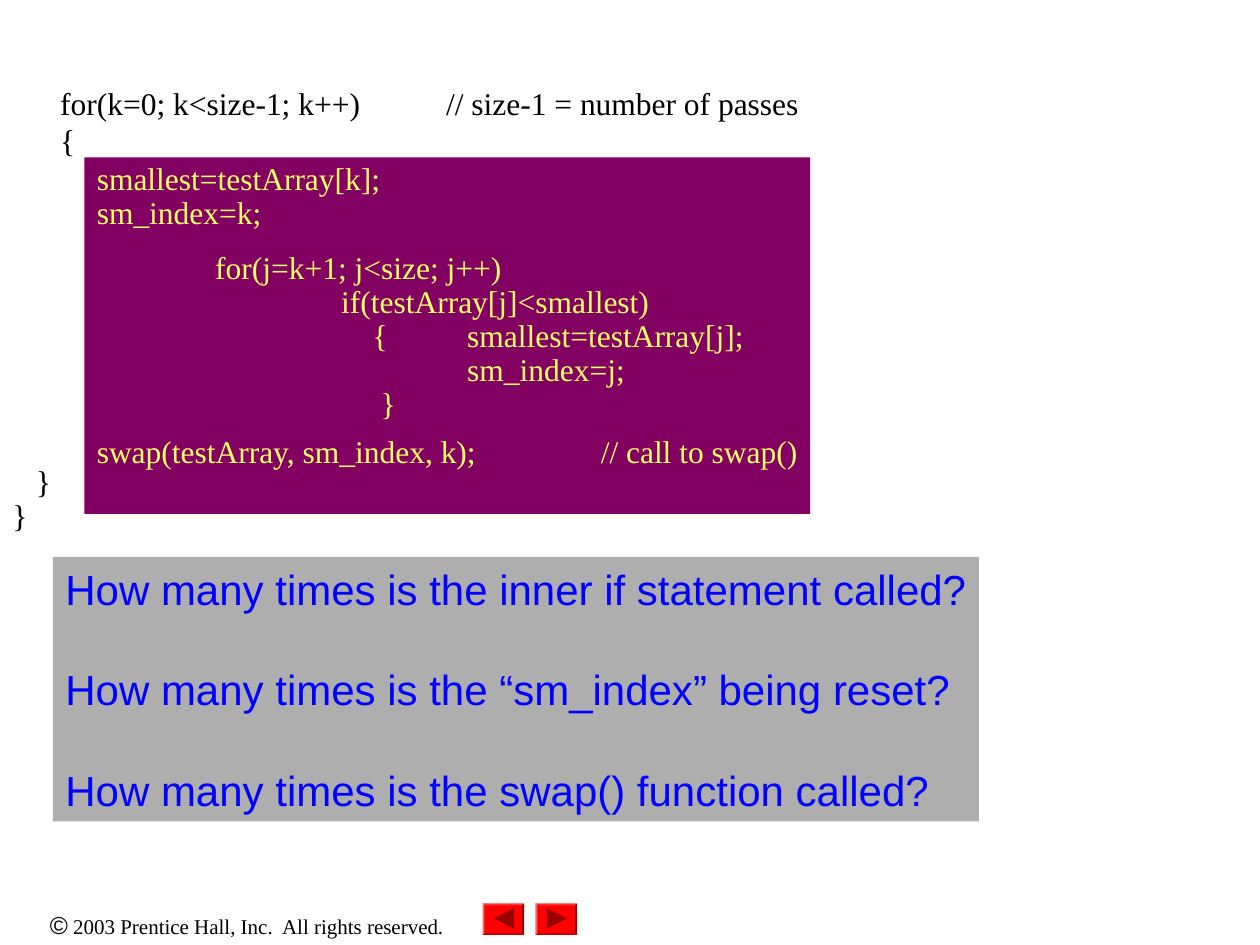
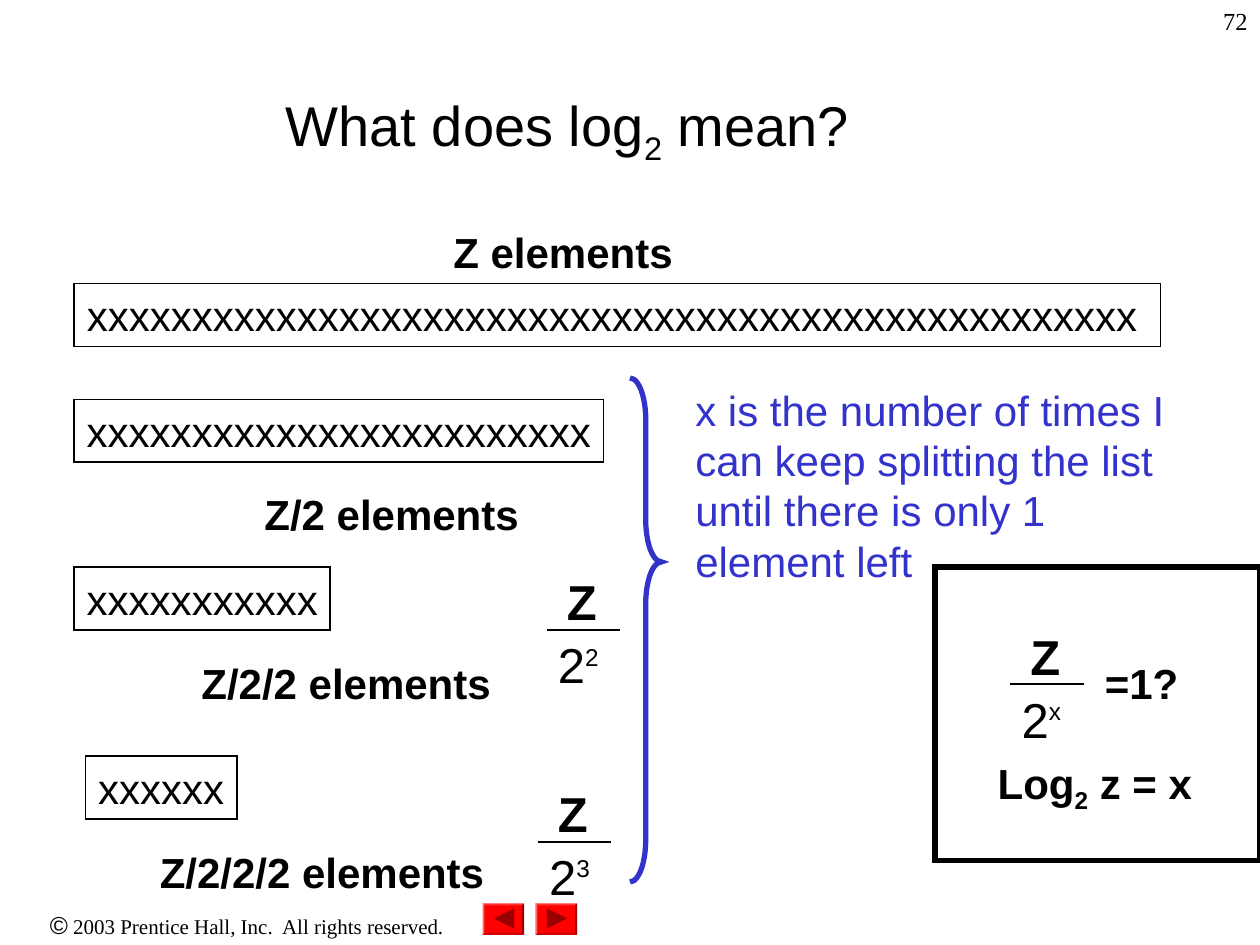
from lxml import etree
from pptx import Presentation
from pptx.dml.color import RGBColor
from pptx.enum.shapes import MSO_CONNECTOR, MSO_SHAPE
from pptx.enum.text import MSO_ANCHOR, MSO_AUTO_SIZE, PP_ALIGN
from pptx.oxml.ns import qn
from pptx.util import Inches, Pt

# Shared style
SANS, SERIF = "Arial", "Times New Roman"
BLACK, RED, MAROON, BLUE = "000000", "FF0000", "990000", "0000FF"
INDIGO, PLUM, YELLOW, GREY = "3333CC", "820062", "FFFF66", "5F5F5F"
RECT, BRACE = MSO_SHAPE.RECTANGLE, MSO_SHAPE.RIGHT_BRACE
BEVEL, ARROW = MSO_SHAPE.BEVEL, MSO_SHAPE.ISOSCELES_TRIANGLE
LEFT, CENTER, RIGHT = PP_ALIGN.LEFT, PP_ALIGN.CENTER, PP_ALIGN.RIGHT
STRAIGHT, TOP = MSO_CONNECTOR.STRAIGHT, MSO_ANCHOR.TOP
FIT = MSO_AUTO_SIZE.SHAPE_TO_FIT_TEXT
CODE_GAP = 19.44  # height of one code line in points


def color(code):
    return RGBColor.from_string(code)


def shape(slide, kind, at, fill=None, line=None, width=1):
    item = slide.shapes.add_shape(kind, *map(Inches, at))
    item.shadow.inherit = False
    if fill:
        item.fill.solid()
        item.fill.fore_color.rgb = color(fill)
    else:
        item.fill.background()
    if line:
        item.line.color.rgb = color(line)
        item.line.width = Pt(width)
        # Sharp corners
        edge = item._element.spPr.find(qn("a:ln"))
        etree.SubElement(edge, qn("a:miter"), lim="800000")
    else:
        item.line.fill.background()
    return item


def rule(slide, x, y, length):
    line = slide.shapes.add_connector(
        STRAIGHT, Inches(x), Inches(y), Inches(x + length), Inches(y))
    line.line.color.rgb = color(BLACK)
    line.line.width = Pt(1)
    etree.SubElement(line._element.spPr, qn("a:effectLst"))


def add_run(para, text, size, font=SANS, ink=BLACK, bold=False, base=0):
    run = para.add_run()
    run.text = text
    run.font.size = Pt(size)
    run.font.name = font
    run.font.bold = bold
    run.font.color.rgb = color(ink)
    if base:
        run.font._element.set("baseline", str(base * 1000))


def set_tabs(para):
    tabs = etree.SubElement(para._p.get_or_add_pPr(), qn("a:tabLst"))
    for inch in range(1, 8):
        etree.SubElement(tabs, qn("a:tab"), pos=str(Inches(inch)), algn="l")


def text(slide, at, runs, align=LEFT, wrap=False):
    """One paragraph; each run is a tuple of add_run arguments."""
    frame = slide.shapes.add_textbox(*map(Inches, at)).text_frame
    frame.word_wrap = wrap
    if not wrap:
        frame.auto_size = FIT
        frame.margin_right = 0  # spare room keeps the text on one line
    para = frame.paragraphs[0]
    para.alignment = align
    for run in runs:
        add_run(para, *run)


def lines(item, rows, size, font, ink, spacing=1.0):
    """Fill a shape with (text, space before) rows."""
    frame = item.text_frame
    frame.word_wrap = False
    frame.vertical_anchor = TOP
    for i, (words, gap) in enumerate(rows):
        para = frame.add_paragraph() if i else frame.paragraphs[0]
        set_tabs(para)
        para.alignment = LEFT
        para.line_spacing = spacing
        if gap:
            para.space_before = Pt(gap)
        add_run(para, words, size, font, ink)


def code(item, rows, ink):
    lines(item, rows, 18, SERIF, ink, 0.9)


def footer(slide):
    text(slide, (0, 7.17, 3.92, 0.34),
         [("©", 14),
          (" 2003 Prentice Hall, Inc.  All rights reserved.", 12, SERIF)],
         CENTER, True)
    for x, turn in ((3.83, -90), (4.25, 90)):
        button = shape(slide, BEVEL, (x, 7.17, 0.33, 0.25), RED)
        button.adjustments[0] = 0.06
        arrow = shape(slide, ARROW, (x + 0.09, 7.21, 0.16, 0.16), MAROON)
        arrow.rotation = turn


def fraction(slide, x, y, power):
    text(slide, (x + 0.07, y - 0.51, 0.44, 0.57),
         [("Z", 28, SANS, BLACK, True)])
    rule(slide, x + 0.01, y, 0.58)
    text(slide, (x, y - 0.01, 0.52, 0.57),
         [("2", 28), (power, 24, SANS, BLACK, False, 42)])


def label(slide, x, y, width, words):
    text(slide, (x, y, width, 0.5), [(words, 24, SANS, BLACK, True)])


def sort_slide(slide):
    footer(slide)
    # Outer loop: head and closing braces
    head = shape(slide, RECT, (0.38, 0.65, 8.9, 0.6))
    code(head, [("for(k=0; k<size-1; k++)\t // size-1 = number of passes", 0),
                ("{", 2)], BLACK)
    tail = shape(slide, RECT, (0, 3.65, 0.6, 0.65))
    code(tail, [("   }", 0), ("}", 0)], BLACK)
    # Loop body and inner loop
    body = shape(slide, RECT, (0.67, 1.25, 5.76, 2.83), PLUM)
    code(body, [("smallest=testArray[k];", 0),
                ("sm_index=k;", 0),
                ("swap(testArray, sm_index, k);\t// call to swap()",
                 6 * CODE_GAP)], YELLOW)
    inner = shape(slide, RECT, (1.61, 1.95, 4.39, 1.45), PLUM)
    code(inner, [(row, 0) for row in (
        "for(j=k+1; j<size; j++)",
        "\tif(testArray[j]<smallest)",
        "\t    {\tsmallest=testArray[j];",
        "\t\tsm_index=j;",
        "\t     }")], YELLOW)
    # Questions
    panel = shape(slide, RECT, (0.42, 4.42, 7.35, 2.1), GREY)
    tone = panel._element.spPr.find(qn("a:solidFill"))[0]
    etree.SubElement(tone, qn("a:alpha"), val="50000")
    asks = ("inner if statement called?", "“sm_index” being reset?",
            "swap() function called?")
    lines(panel, [("How many times is the " + ask, 28.8 if i else 0)
                  for i, ask in enumerate(asks)], 24, SANS, BLUE)


def log_slide(slide):
    footer(slide)
    text(slide, (7.92, 0, 2.08, 0.5), [("72", 14, SERIF)], RIGHT, True)
    text(slide, (2.17, 0.67, 4.67, 0.71),
         [("What does log", 32), ("2", 32, SANS, BLACK, False, -25),
          (" mean?", 32)])
    # Lists that halve at each step
    for x, y, width, count in ((0.59, 2.25, 8.62, 50), (0.59, 3.17, 4.2, 24),
                               (0.59, 4.5, 2.03, 11), (0.68, 6, 1.2, 6)):
        box = shape(slide, RECT, (x, y, width, 0.5), None, BLACK)
        lines(box, [("x" * count, 0)], 24, SANS, BLACK)
    for step, (x, y, width) in enumerate((
            (3.5, 1.75, 2.03), (2, 3.83, 2.31),
            (1.5, 5.17, 2.59), (1.17, 6.67, 2.87))):
        label(slide, x, y, width, "Z" + "/2" * step + " elements")
    # Fractions and the closing question
    for x, y, power in ((4.33, 5, "2"), (4.26, 6.68, "3"), (8.01, 5.43, "x")):
        fraction(slide, x, y, power)
    label(slide, 8.67, 5.17, 0.78, "=1?")
    text(slide, (7.82, 5.96, 1.74, 0.56),
         [("Log", 24, SANS, BLACK, True), ("2", 24, SANS, BLACK, True, -25),
          (" z = x", 24, SANS, BLACK, True)])
    shape(slide, RECT, (7.42, 4.5, 2.58, 2.33), None, BLACK, 3)
    # Brace and its meaning
    text(slide, (5.42, 3, 3.93, 1.7),
         [("x is the number of times I can keep splitting the list "
           "until there is only 1 element left", 24, SANS, INDIGO)],
         LEFT, True)
    brace = shape(slide, BRACE, (5, 3, 0.25, 4), None, INDIGO, 3)
    brace.adjustments[0] = 1.33
    brace.adjustments[1] = 0.365


def main():
    deck = Presentation()
    deck.slide_width, deck.slide_height = Inches(10), Inches(7.5)
    for build in (sort_slide, log_slide):
        build(deck.slides.add_slide(deck.slide_layouts[6]))
    deck.save("out.pptx")


if __name__ == "__main__":
    main()
